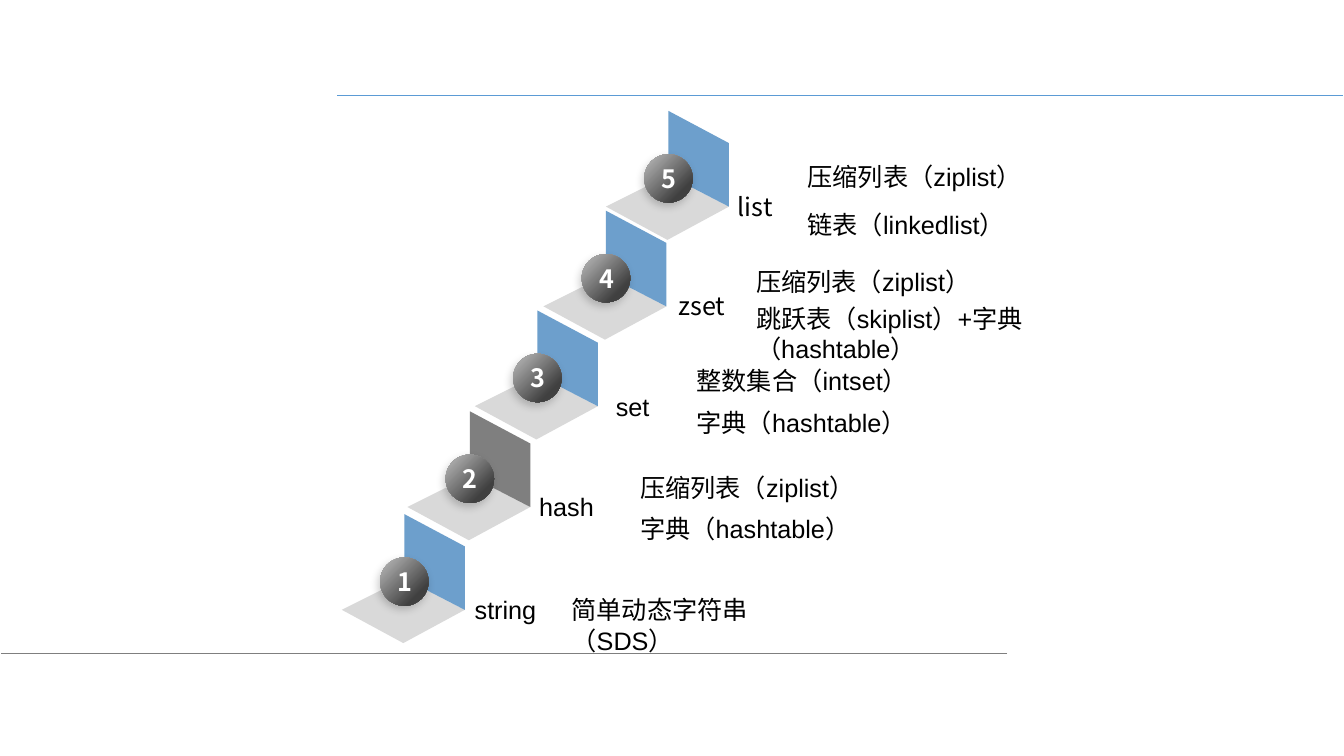
from lxml import etree
from pptx import Presentation
from pptx import util as u
from pptx.dml.color import RGBColor
from pptx.enum import shapes, text
from pptx.oxml import ns, parse_xml

PX = 9144  # 100 px to the inch

BLACK = RGBColor(0x00, 0x00, 0x00)
WHITE = RGBColor(0xFF, 0xFF, 0xFF)
BLUE = RGBColor(0x6D, 0x9F, 0xCC)
GRAY = RGBColor(0x7F, 0x7F, 0x7F)
TREAD_GRAY = RGBColor(0xD9, 0xD9, 0xD9)
RULE_BLUE = RGBColor(0x5B, 0x9B, 0xD5)

LATIN = "Arial"
CJK = "Noto Sans CJK SC"

# Outlines measured from the left corner of a step
TREAD = [(0, 0), (62, -31), (122, 0), (61, 33)]
RISER = [(122, 0), (62, -31), (62, -95), (122, -63)]

# Left corner, riser colour, type name, its left and top, its font
STEPS = [
    (339, 605, BLUE, "string", 461, 585, LATIN),
    (404, 503, GRAY, "hash", 525, 483, LATIN),
    (471, 403, BLUE, "set", 601, 383, LATIN),
    (539, 304, BLUE, "zset", 663, 283, CJK),
    (601, 205, BLUE, "list", 722, 185, CJK),
]

# Left, top, width, wording
ENCODINGS = [
    (557, 585, 285, "简单动态字符串（SDS）"),
    (625, 464, 285, "压缩列表（ziplist）"),
    (625, 504, 285, "字典（hashtable）"),
    (681, 358, 285, "整数集合（intset）"),
    (681, 399, 285, "字典（hashtable）"),
    (740, 259, 285, "压缩列表（ziplist）"),
    (740, 296, 432, "跳跃表（skiplist）+字典（hashtable）"),
    (791, 155, 285, "压缩列表（ziplist）"),
    (791, 203, 285, "链表（linkedlist）"),
]

BALL_FILL = f"""<a:gradFill {ns.nsdecls('a')} rotWithShape="1"><a:gsLst>
<a:gs pos="0"><a:srgbClr val="808080"/></a:gs>
<a:gs pos="15000"><a:srgbClr val="A6A6A6"/></a:gs>
<a:gs pos="78000"><a:srgbClr val="404040"/></a:gs>
</a:gsLst><a:lin ang="2700000" scaled="0"/></a:gradFill>"""

BALL_SHADOW = f"""<a:effectLst {ns.nsdecls('a')}>
<a:outerShdw blurRad="76200" dist="38100" dir="6960000" algn="ctr" rotWithShape="0">
<a:srgbClr val="000000"><a:alpha val="20000"/></a:srgbClr>
</a:outerShdw></a:effectLst>"""


def add_text(parent, left, top, width, wording, font=LATIN, color=BLACK,
             bold=False, align=text.PP_ALIGN.LEFT, wrap=True):
    box = parent.add_textbox(left * PX, top * PX, width * PX, 40 * PX)
    frame = box.text_frame
    frame.word_wrap = wrap
    paragraph = frame.paragraphs[0]
    paragraph.alignment = align
    run = paragraph.add_run()
    run.text = wording
    run.font.size = u.Pt(18)
    run.font.name = font
    run.font.bold = bold
    run.font.color.rgb = color
    east_asian = etree.SubElement(run.font._element, ns.qn("a:ea"))
    east_asian.set("typeface", CJK)


def add_outline(parent, left, top, points, color):
    corners = [(left + x, top + y) for x, y in points]
    builder = parent.build_freeform(*corners[0], scale=PX)
    builder.add_line_segments(corners[1:], close=True)
    shape = builder.convert_to_shape()
    shape.shadow.inherit = False
    shape.fill.solid()
    shape.fill.fore_color.rgb = color
    shape.line.fill.background()


def add_ball(parent, left, top, number):
    ball = parent.add_shape(shapes.MSO_SHAPE.OVAL, left * PX, top * PX, 48 * PX, 48 * PX)
    ball.line.fill.background()
    properties = ball._element.spPr
    properties.insert(2, parse_xml(BALL_FILL))
    properties.append(parse_xml(BALL_SHADOW))
    add_text(parent, left + 7, top + 4, 35, str(number), font=CJK, color=WHITE,
             bold=True, align=text.PP_ALIGN.CENTER, wrap=False)


def add_step(slide, left, top, number, riser_color):
    group = slide.shapes.add_group_shape().shapes
    add_outline(group, left, top, TREAD, TREAD_GRAY)
    add_outline(group, left, top, RISER, riser_color)
    add_ball(group, left + 38, top - 52, number)


def add_rule(slide, start, end, y, color):
    rule = slide.shapes.add_connector(
        shapes.MSO_CONNECTOR.STRAIGHT, start * PX, y * PX, end * PX, y * PX)
    rule.line.color.rgb = color
    rule.line.width = u.Pt(0.5)
    etree.SubElement(rule._element.spPr, ns.qn("a:effectLst"))


def main():
    presentation = Presentation()
    presentation.slide_width = 1333 * PX
    presentation.slide_height = 750 * PX
    slide = presentation.slides.add_slide(presentation.slide_layouts[6])

    # Rules above and below the staircase
    add_rule(slide, 1332, 334, 95, RULE_BLUE)
    add_rule(slide, 999, 1, 648, GRAY)

    # Staircase of data types
    for number, (left, top, color, name, name_left, name_top, font) in enumerate(STEPS, 1):
        add_step(slide, left, top, number, color)
        add_text(slide.shapes, name_left, name_top, 816, name, font=font)

    # Encodings beside each type
    for left, top, width, wording in ENCODINGS:
        add_text(slide.shapes, left, top, width, wording)

    presentation.save("out.pptx")


if __name__ == "__main__":
    main()
